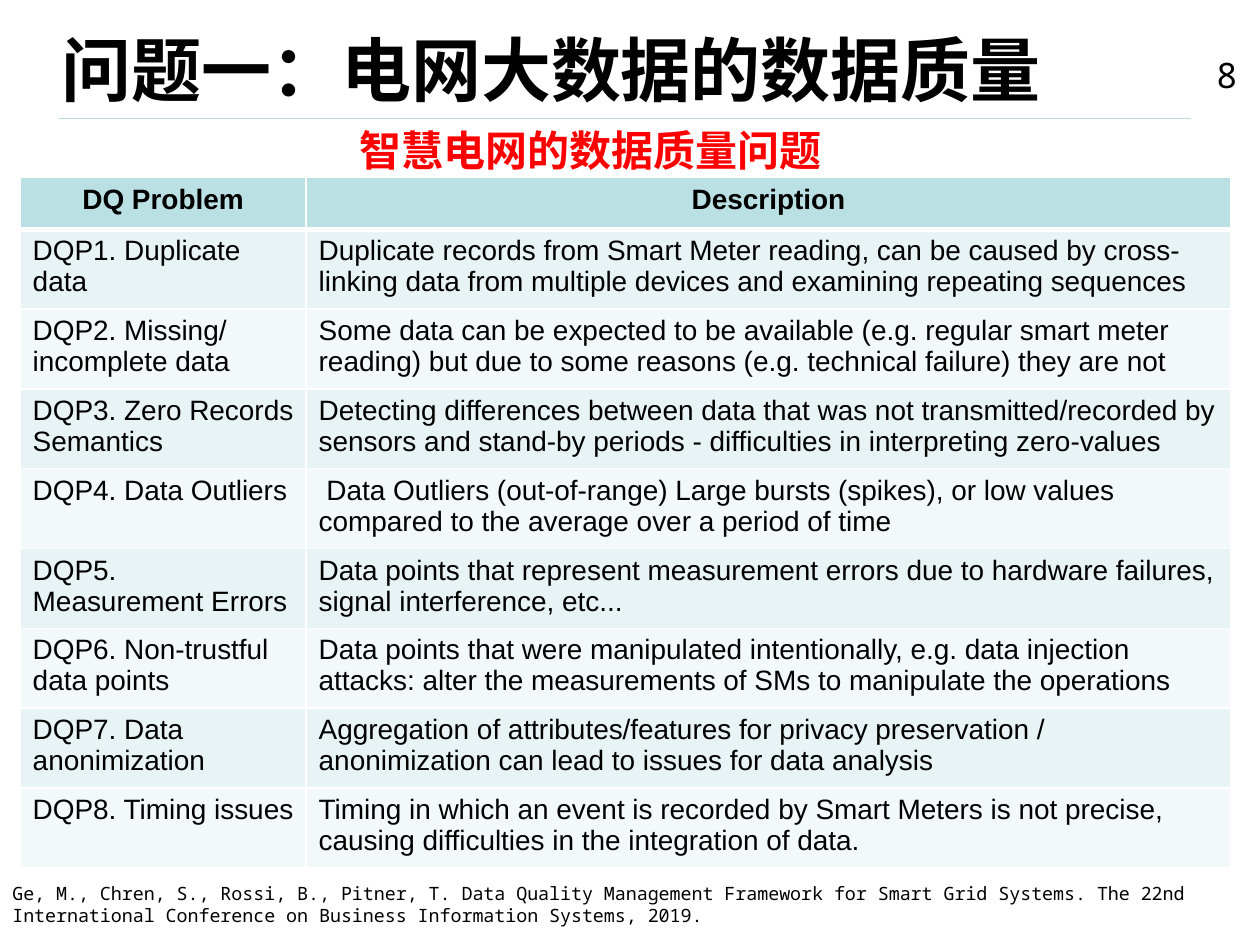
import pptx
import pptx.dml.color
import pptx.enum.shapes
import pptx.enum.text
import pptx.oxml
import pptx.oxml.ns
import pptx.util
from pptx.util import Inches

COLORS = {
    "ink": "000000",
    "accent": "FF0000",
    "rule": "B6DCDF",
    "header": "BBE0E3",
    "odd": "E7F3F4",
    "even": "F3F9FA",
    "border": "FFFFFF",
}
ALIGN = pptx.enum.text.PP_ALIGN
ANCHOR = pptx.enum.text.MSO_ANCHOR

PROBLEMS = [
    ("DQP1. Duplicate data",
     "Duplicate records from Smart Meter reading, can be caused by cross-linking data "
     "from multiple devices and examining repeating sequences"),
    ("DQP2. Missing/ incomplete data",
     "Some data can be expected to be available (e.g. regular smart meter reading) "
     "but due to some reasons (e.g. technical failure) they are not"),
    ("DQP3. Zero Records Semantics",
     "Detecting differences between data that was not transmitted/recorded by sensors "
     "and stand-by periods - difficulties in interpreting zero-values"),
    ("DQP4. Data Outliers",
     " Data Outliers (out-of-range) Large bursts (spikes), or low values compared to "
     "the average over a period of time"),
    ("DQP5. Measurement Errors",
     "Data points that represent measurement errors due to hardware failures, signal "
     "interference, etc..."),
    ("DQP6. Non-trustful data points",
     "Data points that were manipulated intentionally, e.g. data injection attacks: "
     "alter the measurements of SMs to manipulate the operations"),
    ("DQP7. Data anonimization",
     "Aggregation of attributes/features for privacy preservation / anonimization can "
     "lead to issues for data analysis"),
    ("DQP8. Timing issues",
     "Timing in which an event is recorded by Smart Meters is not precise, causing "
     "difficulties in the integration of data."),
]


class SlideBuilder:
    mono = "Noto Sans Mono"
    cjk = "Noto Sans CJK SC"
    sans = "Arial"

    def __init__(self, slide):
        self.slide = slide

    def color(self, key):
        return pptx.dml.color.RGBColor.from_string(COLORS[key])

    def fill_frame(self, frame, wording, align=ALIGN.LEFT, color="ink", **font_format):
        paragraph = frame.paragraphs[0]
        paragraph.alignment = align
        run = paragraph.add_run()
        run.text = wording
        for attribute, value in font_format.items():
            setattr(run.font, attribute, value)
        run.font.color.rgb = self.color(color)
        east_asian = pptx.oxml.parse_xml(
            f'<a:ea {pptx.oxml.ns.nsdecls("a")} typeface="{self.cjk}"/>')
        run.font._element.find(pptx.oxml.ns.qn("a:latin")).addnext(east_asian)

    def text(self, wording, box, anchor=ANCHOR.MIDDLE, **style):
        frame = self.slide.shapes.add_textbox(*map(Inches, box)).text_frame
        frame.word_wrap = True
        frame.vertical_anchor = anchor
        self.fill_frame(frame, wording, **style)

    def rule(self, start, end, color, width):
        divider = self.slide.shapes.add_connector(
            pptx.enum.shapes.MSO_CONNECTOR.STRAIGHT, *map(Inches, start + end))
        divider.line.color.rgb = self.color(color)
        divider.line.width = pptx.util.Pt(width)
        divider._element.spPr.append(
            pptx.oxml.parse_xml(f'<a:effectLst {pptx.oxml.ns.nsdecls("a")}/>'))

    def border(self, cell, side, points):
        cell._tc.get_or_add_tcPr().append(pptx.oxml.parse_xml(
            f'<a:ln{side} {pptx.oxml.ns.nsdecls("a")} w="{pptx.util.Pt(points)}">'
            f'<a:solidFill><a:srgbClr val="{COLORS["border"]}"/></a:solidFill>'
            f'</a:ln{side}>'))

    def table(self, rows, left, top, widths, heights):
        grid = self.slide.shapes.add_table(
            len(rows), len(widths), Inches(left), Inches(top),
            Inches(sum(widths)), Inches(sum(heights))).table
        for column, width in zip(grid.columns, widths):
            column.width = Inches(width)
        for index, (row, height) in enumerate(zip(rows, heights)):
            grid.rows[index].height = Inches(height)
            is_header = index == 0
            fill = "header" if is_header else "odd" if index % 2 else "even"
            for position, wording in enumerate(row):
                cell = grid.cell(index, position)
                sides = {"L": 1, "R": 1, "T": 3 if index == 1 else 1,
                         "B": 3 if is_header else 1}
                for side, points in sides.items():
                    self.border(cell, side, points)
                cell.fill.solid()
                cell.fill.fore_color.rgb = self.color(fill)
                self.fill_frame(cell.text_frame, wording,
                                align=ALIGN.CENTER if is_header else ALIGN.LEFT,
                                name=self.sans, size=pptx.util.Pt(16), bold=is_header)


def main():
    deck = pptx.Presentation()
    deck.slide_width, deck.slide_height = Inches(10), Inches(7.5)
    builder = SlideBuilder(deck.slides.add_slide(deck.slide_layouts[6]))

    builder.rule((0.47, 0.94), (9.45, 0.94), "rule", 0.75)
    builder.text("问题一：电网大数据的数据质量", (0.39, 0.16, 9.18, 0.77),
                 name=builder.mono, size=pptx.util.Pt(40), bold=True)
    builder.text("Ge, M., Chren, S., Rossi, B., Pitner, T. Data Quality Management "
                 "Framework for Smart Grid Systems. The 22nd International Conference "
                 "on Business Information Systems, 2019.",
                 (0, 6.95, 10, 0.55), anchor=ANCHOR.TOP,
                 name=builder.mono, size=pptx.util.Pt(10.5))
    builder.text("智慧电网的数据质量问题", (1.8, 0.94, 5.78, 0.5),
                 align=ALIGN.CENTER, color="accent",
                 name=builder.cjk, size=pptx.util.Pt(24), bold=True)
    builder.table([("DQ Problem", "Description")] + PROBLEMS, 0.16, 1.41,
                  widths=[2.27, 7.34], heights=[0.41] + [0.63] * len(PROBLEMS))
    builder.text("8", (9.38, 0.39, 0.54, 0.4), align=ALIGN.RIGHT,
                 name=builder.mono, size=pptx.util.Pt(20))

    deck.save("out.pptx")


if __name__ == "__main__":
    main()
